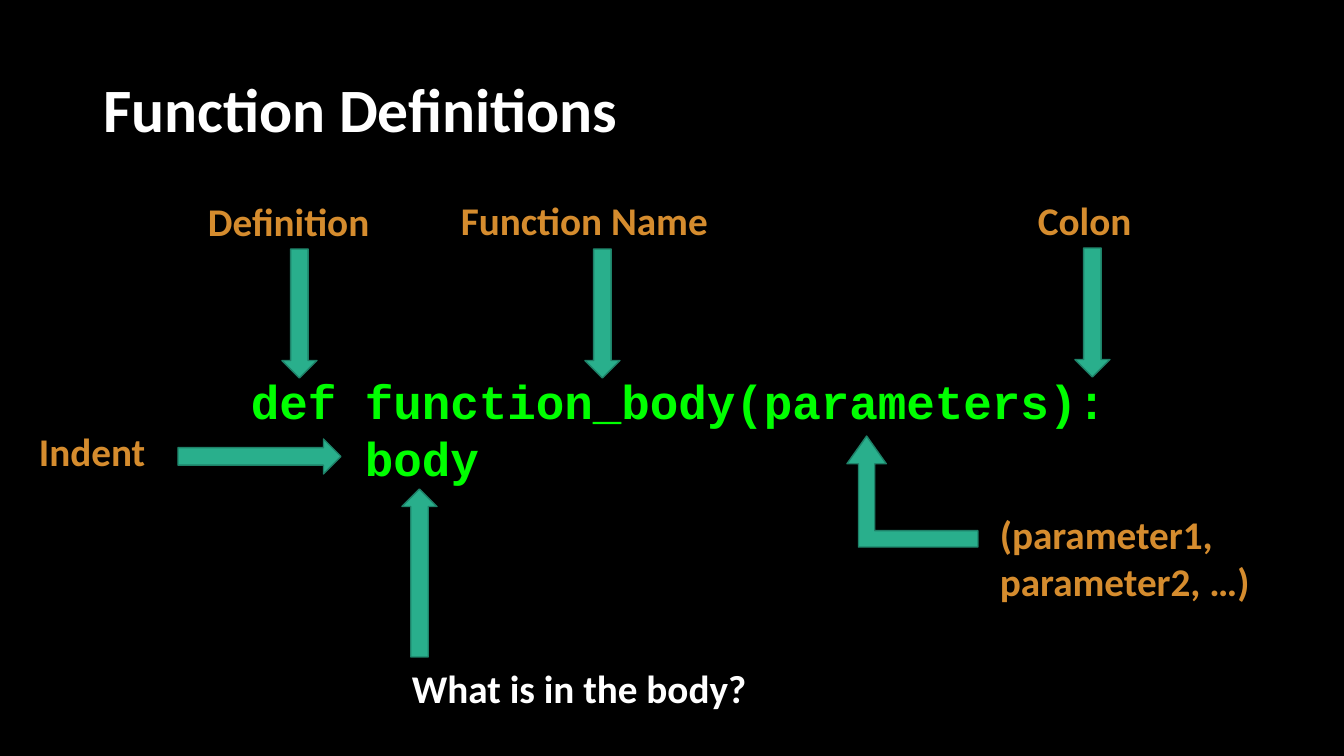
from pptx import Presentation, util as u
from pptx.dml.color import RGBColor
from pptx.enum import shapes, text

PX = 914400 / 100.8
SIZE = 1344, 756

WHITE, ORANGE, CODE_GREEN = "FFFFFF", "D58C2E", "00FF00"
ARROW_FILL, ARROW_LINE = "29AF8C", "1E8168"

LABEL = {"name": "Calibri", "size": u.Pt(28), "bold": True}
CODE = {"name": "Courier New", "size": u.Pt(34), "bold": True}
HEADING = {"name": "Calibri", "size": u.Pt(44), "bold": True}

TITLE = "Function Definitions", (93, 40, 1159, 146)

# lines, box (left, top, width, height), format, colour
TEXTS = [
    (["def function_body(parameters):", "    body"], (241, 367, 884, 126), CODE, CODE_GREEN),
    (["Indent"], (29, 422, 142, 57), LABEL, ORANGE),
    (["Colon"], (1028, 191, 129, 57), LABEL, ORANGE),
    (["Definition"], (198, 192, 208, 57), LABEL, ORANGE),
    (["(parameter1,", "parameter2, …)"], (990, 505, 308, 105), LABEL, ORANGE),
    (["Function Name"], (451, 191, 304, 57), LABEL, ORANGE),
    (["What is in the body?"], (402, 659, 401, 57), LABEL, WHITE),
]

THICK, DROP = 35, 129
KIND = shapes.MSO_SHAPE
ARROWS = [
    (KIND.DOWN_ARROW, (1075, 248, THICK, DROP)),
    (KIND.DOWN_ARROW, (282, 249, THICK, DROP)),
    (KIND.DOWN_ARROW, (585, 249, THICK, DROP)),
    (KIND.UP_ARROW, (402, 489, THICK, 168)),
    (KIND.RIGHT_ARROW, (178, 439, 163, THICK)),
]
PARAMETER_ARROW = (847, 436, 131, 111)
PARAMETER_ADJUST = 0.147, 0.177, 0.25


def emu(box):
    return [round(v * PX) for v in box]


def rgb(color):
    return RGBColor.from_string(color)


def write(tf, lines, fmt, color):
    for i, line in enumerate(lines):
        p = tf.paragraphs[0] if i == 0 else tf.add_paragraph()
        p.alignment = text.PP_ALIGN.LEFT
        r = p.add_run()
        r.text = line
        for name, value in fmt.items():
            setattr(r.font, name, value)
        r.font.color.rgb = rgb(color)


def add_text(s, lines, box, fmt, color):
    tf = s.shapes.add_textbox(*emu(box)).text_frame
    tf.word_wrap = False
    tf.auto_size = text.MSO_AUTO_SIZE.SHAPE_TO_FIT_TEXT
    write(tf, lines, fmt, color)


def add_arrow(s, kind, box):
    sp = s.shapes.add_shape(kind, *emu(box))
    sp.shadow.inherit = False
    sp.fill.solid()
    sp.fill.fore_color.rgb = rgb(ARROW_FILL)
    sp.line.color.rgb = rgb(ARROW_LINE)
    sp.line.width = u.Pt(1)
    return sp


def main():
    prs = Presentation()
    prs.slide_width, prs.slide_height = emu(SIZE)
    s = prs.slides.add_slide(prs.slide_layouts[5])
    s.background.fill.solid()
    s.background.fill.fore_color.rgb = rgb("000000")

    heading, box = TITLE
    title = s.shapes.title
    title.left, title.top, title.width, title.height = emu(box)
    tf = title.text_frame
    tf.vertical_anchor = text.MSO_ANCHOR.MIDDLE
    write(tf, [heading], HEADING, WHITE)
    tf.paragraphs[0].line_spacing = 0.9

    for item in TEXTS:
        add_text(s, *item)
    for kind, box in ARROWS:
        add_arrow(s, kind, box)

    bent = add_arrow(s, KIND.BENT_UP_ARROW, PARAMETER_ARROW)
    for i, value in enumerate(PARAMETER_ADJUST):
        bent.adjustments[i] = value
    bent._element.spPr.xfrm.set("flipH", "1")

    prs.save("out.pptx")


if __name__ == "__main__":
    main()
